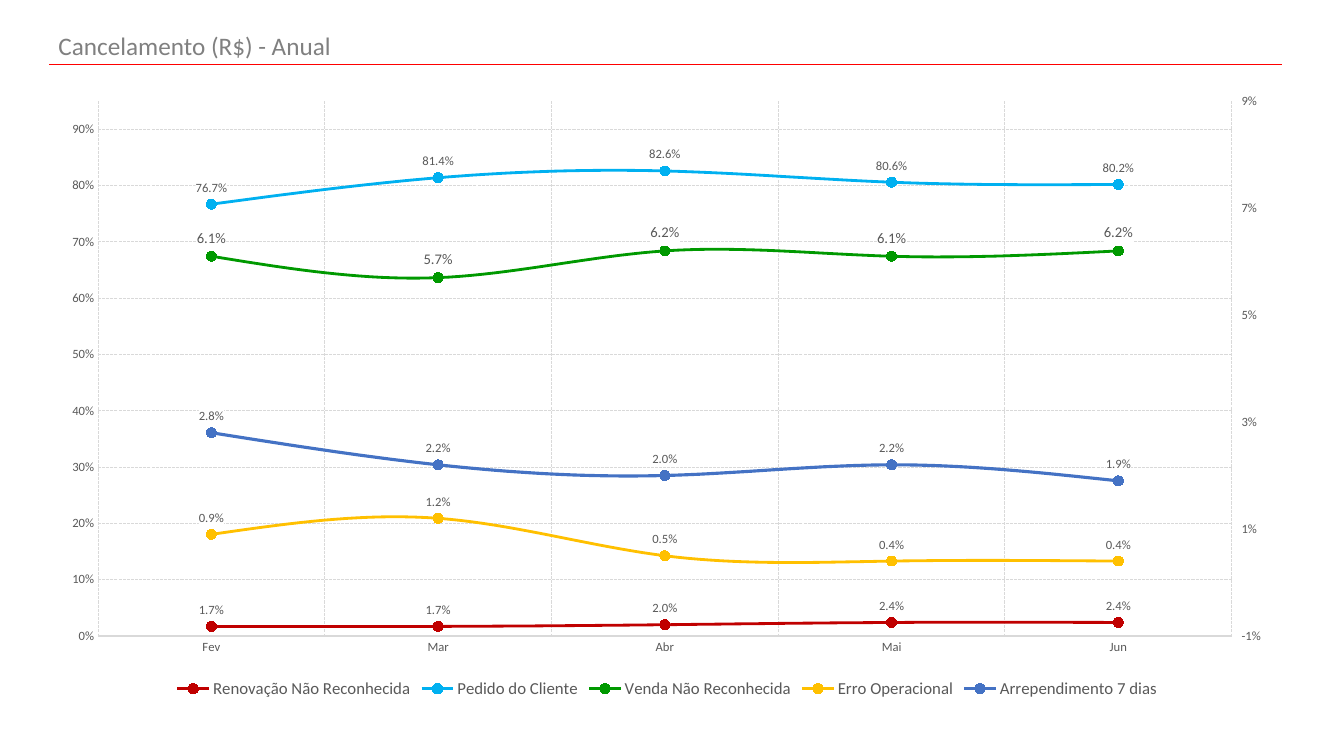
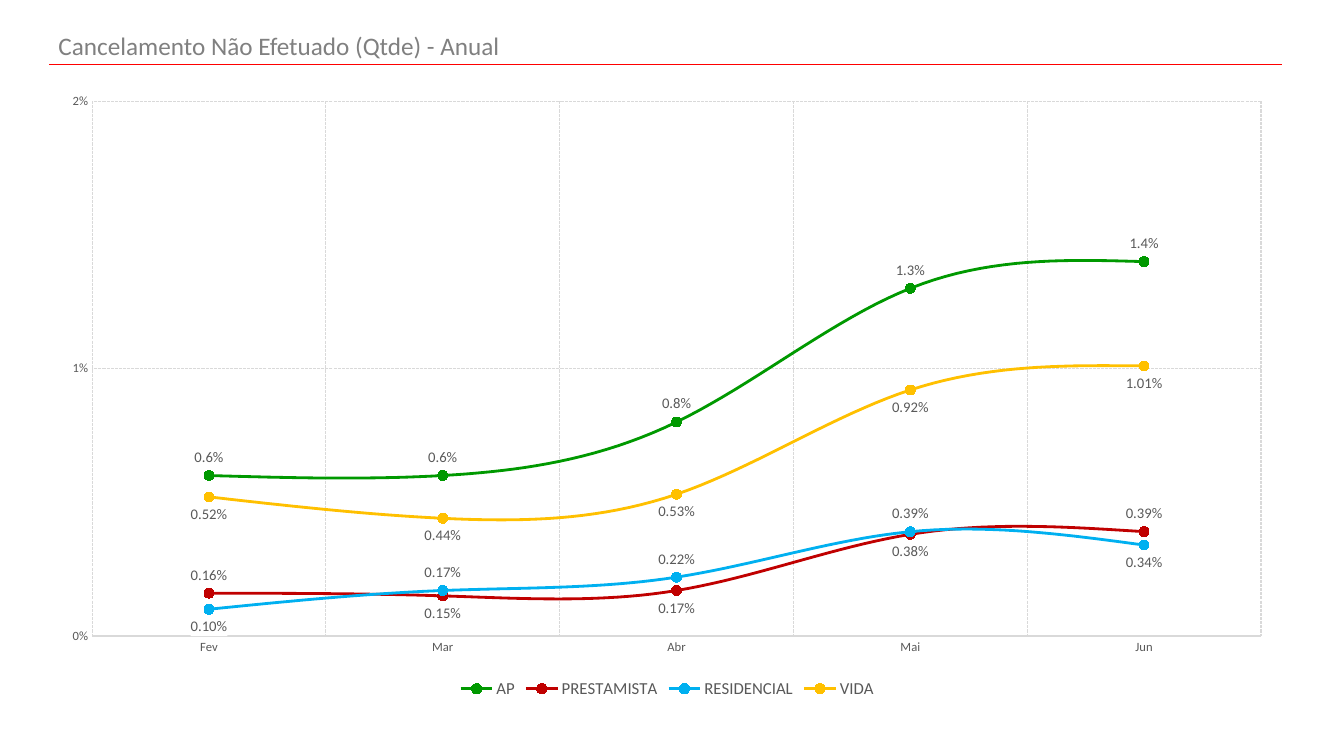
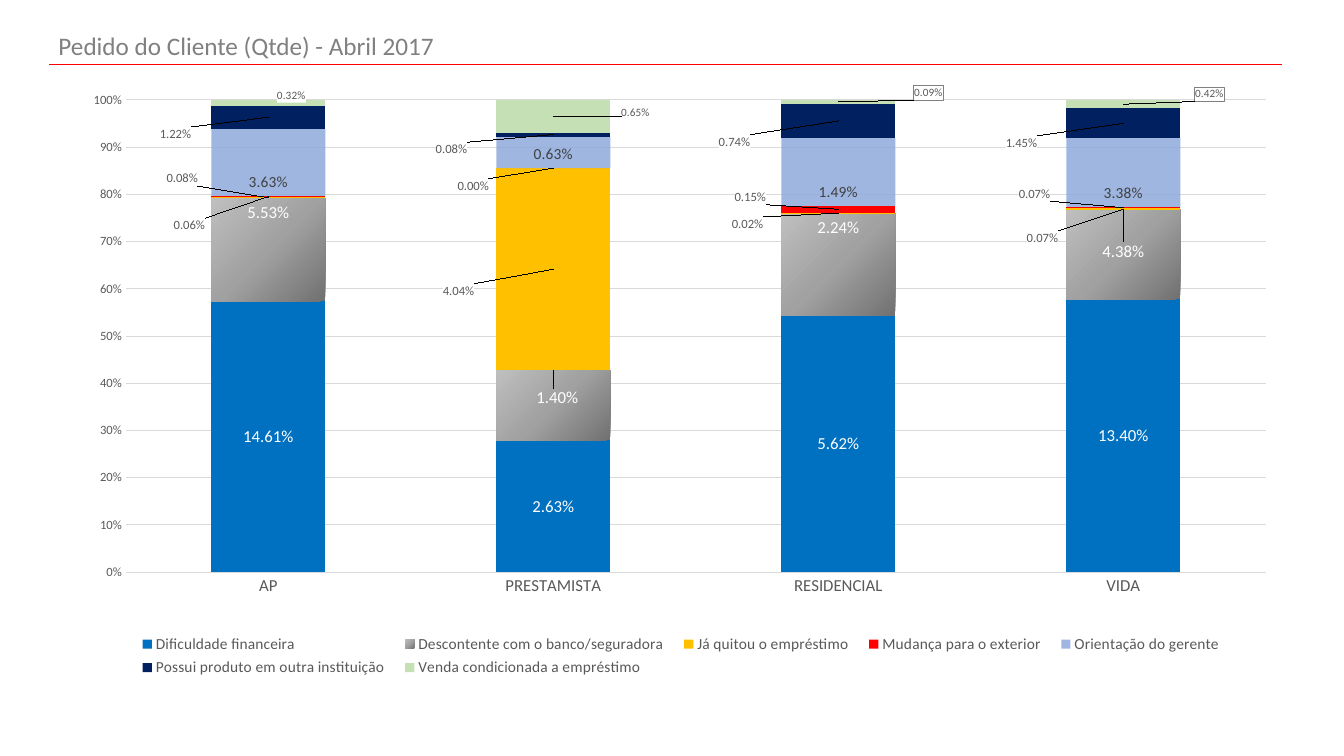
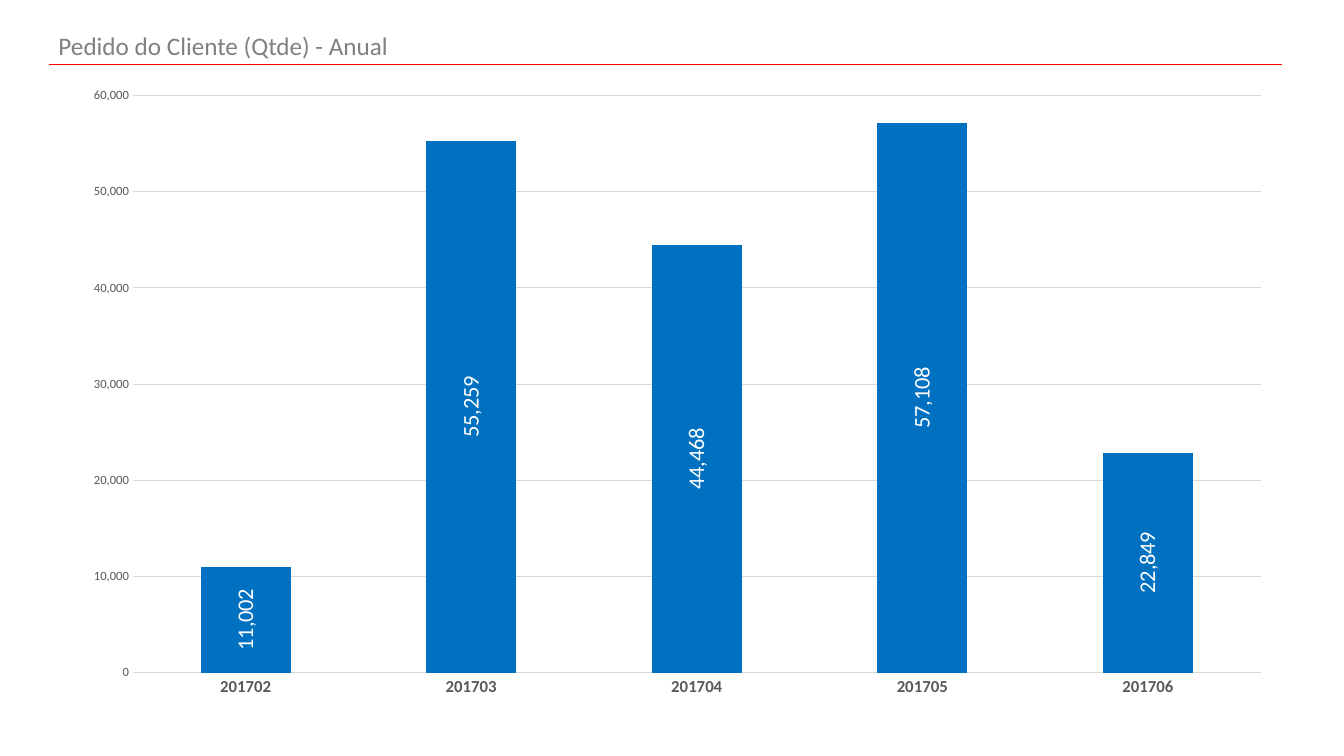
from copy import deepcopy

from pptx import Presentation
from pptx.chart.axis import CategoryAxis, ValueAxis
from pptx.chart.data import CategoryChartData
from pptx.dml.color import RGBColor
from pptx.enum.chart import XL_CHART_TYPE as Kind
from pptx.enum.chart import XL_LABEL_POSITION as Pos
from pptx.enum.chart import XL_LEGEND_POSITION, XL_MARKER_STYLE, XL_TICK_MARK
from pptx.enum.dml import MSO_LINE
from pptx.enum.shapes import MSO_CONNECTOR
from pptx.enum.text import MSO_ANCHOR, MSO_AUTO_SIZE, PP_ALIGN
from pptx.oxml import parse_xml
from pptx.oxml.ns import nsdecls, qn
from pptx.util import Cm, Pt

FACE = "Calibri"
WHITE, GRAY, TEXT, GRID, RULE = "FFFFFF", "808080", "595959", "D9D9D9", "FF0000"
RED, SKY, GREEN, GOLD, BLUE = "C00000", "00B0F0", "009900", "FFC000", "0070C0"
HEAD = (1.22, 0.64, 31.19, 1.02)
WIDE = (1.22, 2.06, 31.19, 15.65)
MONTHS = ["Fev", "Mar", "Abr", "Mai", "Jun"]
TYPES = ["AP", "PRESTAMISTA", "RESIDENCIAL", "VIDA"]
P1, P2 = "0.0%", "0.00%"

VALUE = [
    ("Renovação Não Reconhecida", [0.017, 0.017, 0.02, 0.024, 0.024], RED, P1, 9, Pos.ABOVE, 2),
    ("Pedido do Cliente", [0.767, 0.814, 0.826, 0.806, 0.802], SKY, P1, 9, Pos.ABOVE, 2),
    ("Venda Não Reconhecida", [0.061, 0.057, 0.062, 0.061, 0.062], GREEN, P1, 10.5, Pos.ABOVE, 2),
    ("Erro Operacional", [0.009, 0.012, 0.005, 0.004, 0.004], GOLD, P1, 9, Pos.ABOVE, 2),
    ("Arrependimento 7 dias", [0.028, 0.022, 0.02, 0.022, 0.019], "4472C4", P1, 9, Pos.ABOVE, 2.25),
]
COUNT = [
    ("AP", [0.006, 0.006, 0.008, 0.013, 0.014], GREEN, P1, 10.5, Pos.ABOVE, 2),
    ("PRESTAMISTA", [0.0016, 0.0015, 0.0017, 0.0038, 0.0039], RED, P2, 10.5, Pos.BELOW, 2),
    ("RESIDENCIAL", [0.001, 0.0017, 0.0022, 0.0039, 0.0034], SKY, P2, 10.5, Pos.ABOVE, 2),
    ("VIDA", [0.0052, 0.0044, 0.0053, 0.0092, 0.0101], GOLD, P2, 10.5, Pos.BELOW, 2),
]
CAUSE = [
    ("Dificuldade financeira", [0.1461, 0.0263, 0.0562, 0.134], BLUE, P2, 12, WHITE, Pos.CENTER, {}),
    ("Descontente com o banco/seguradora", [0.0553, 0.014, 0.0224, 0.0438], "A1A1A1", P2, 12, WHITE,
     Pos.INSIDE_END, {1: (0.1, 0.35), 3: (0, 0.71)}),
    ("Já quitou o empréstimo", [0.0008, 0.0404, 0.0002, 0.0007], GOLD, P2, 9, TEXT, Pos.CENTER,
     {0: (-2.17, -0.48), 1: (-2.39, 0.55), 2: (-2.29, 0.28), 3: (-2.04, 0.73)}),
    ("Mudança para o exterior", [0.0006, 0, 0.0015, 0.0007], RULE, P2, 9, TEXT, Pos.CENTER,
     {0: (-1.99, 0.73), 1: (-2.02, 0.45), 2: (-2.22, -0.3), 3: (-2.24, -0.35)}),
    ("Orientação do gerente", [0.0363, 0.0063, 0.0149, 0.0338], "8FAADC", P2, 11, "404040",
     Pos.INSIDE_BASE, {}),
    ("Possui produto em outra instituição", [0.0122, 0.0008, 0.0074, 0.0145], "002060", P2, 9, TEXT,
     Pos.CENTER, {0: (-2.34, 0.43), 1: (-2.57, 0.38), 2: (-2.62, 0.53), 3: (-2.57, 0.5)}),
    ("Venda condicionada a empréstimo", [0.0032, 0.0065, 0.0009, 0.0042], "C5E0B4", P2, 8, TEXT,
     Pos.CENTER, {0: (0.58, -0.18), 1: (2.07, -0.08), 2: (2.27, -0.23), 3: (2.17, -0.25)}),
]
ORDERS = [("Series 1", [11002, 55259, 44468, 57108, 22849], BLUE, "#,##0", 16, WHITE, Pos.CENTER, {})]


def color(code):
    """Turn a hex string into a colour."""
    return RGBColor.from_string(code)


def style(font, size, code, bold=False):
    """Set face, size, colour and weight of a font."""
    font.name, font.size, font.bold = FACE, Pt(size), bold
    font.color.rgb = color(code)


def stroke(line, code, width=0.75, dash=None):
    """Set colour, width and dash of a line."""
    line.color.rgb = color(code)
    line.width = Pt(width)
    if dash:
        line.dash_style = dash


def head(slide, words):
    """Place and format the slide title."""
    title = slide.shapes.title
    title.left, title.top, title.width, title.height = map(Cm, HEAD)
    frame = title.text_frame
    frame.text = words
    frame.auto_size = MSO_AUTO_SIZE.NONE
    frame.vertical_anchor = MSO_ANCHOR.MIDDLE
    para = frame.paragraphs[0]
    para.alignment = PP_ALIGN.LEFT
    style(para.font, 18, GRAY)


def rule(slide, layout):
    """Draw the red rule and hand it to the layout."""
    line = slide.shapes.add_connector(MSO_CONNECTOR.STRAIGHT, Cm(1.24), Cm(1.63), Cm(32.31), Cm(1.63))
    stroke(line.line, RULE, 0.5)
    node = line.element
    node.spPr.append(parse_xml(f"<a:effectLst {nsdecls('a')}/>"))
    node.nvCxnSpPr.cNvPr.set("id", "20")
    layout.shapes.element.append(node)


def place(box, part, edge=True, inner=False):
    """Build a manual layout for a part given in Cm within its box."""
    sizes = zip("xywh", part, (box[2], box[3]) * 2)
    tags = '<c:layoutTarget val="inner"/>' if inner else ""
    if edge:
        tags += '<c:xMode val="edge"/><c:yMode val="edge"/>'
    tags += "".join(f'<c:{key} val="{size / full:.4f}"/>' for key, size, full in sizes)
    return parse_xml(f"<c:layout {nsdecls('c')}><c:manualLayout>{tags}</c:manualLayout></c:layout>")


def plate(ser, edged=()):
    """Give the labels of a series a white ground, some with an edge."""
    for text in list(ser.iter(qn("c:txPr"))):
        spot = text.getparent().find(qn("c:idx"))
        line = f'<a:ln w="6350"><a:solidFill><a:srgbClr val="{GRAY}"/></a:solidFill></a:ln>'
        if spot is None or int(spot.get("val")) not in edged:
            line = "<a:ln><a:noFill/></a:ln>"
        text.addprevious(parse_xml(
            f"<c:spPr {nsdecls('c', 'a')}><a:solidFill><a:srgbClr val=\"{WHITE}\"/></a:solidFill>{line}</c:spPr>"))


def label(series, form, size, code, pos):
    """Show the values of a series."""
    labels = series.data_labels
    labels.show_value = True
    labels.number_format, labels.number_format_is_linked = form, False
    labels.position = pos
    style(labels.font, size, code)


def graph(slide, kind, box, plot, cats, rows):
    """Add a chart with its base font and plot area."""
    data = CategoryChartData()
    data.categories = cats
    for name, vals, _, form, *_ in rows:
        data.add_series(name, vals, form)
    chart = slide.shapes.add_chart(kind, *map(Cm, box), data).chart
    chart.has_title = False
    chart.has_legend = False
    style(chart.font, 10, "000000")
    chart.plots[0].vary_by_categories = False
    area = chart.element.find(".//" + qn("c:plotArea"))
    for old in area.findall(qn("c:layout")):
        area.remove(old)
    area.insert(0, place(box, plot, inner=True))
    return chart


def axes(chart, form, top, step, size=9, bold=False, dash=None):
    """Format both axes and their grid."""
    cat, val = chart.category_axis, chart.value_axis
    for axis in (cat, val):
        axis.major_tick_mark = axis.minor_tick_mark = XL_TICK_MARK.NONE
    style(cat.tick_labels.font, size, TEXT, bold)
    style(val.tick_labels.font, 9, TEXT)
    stroke(cat.format.line, GRID)
    val.format.line.fill.background()
    val.minimum_scale, val.maximum_scale, val.major_unit = 0, top, step
    val.tick_labels.number_format, val.tick_labels.number_format_is_linked = form, False
    val.has_major_gridlines = True
    cat.has_major_gridlines = bool(dash)
    for axis in (cat, val) if dash else (val,):
        stroke(axis.major_gridlines.format.line, GRID, 0.75, dash)


def legend(chart, size):
    """Put the legend below the plot."""
    chart.has_legend = True
    chart.legend.position = XL_LEGEND_POSITION.BOTTOM
    chart.legend.include_in_layout = False
    style(chart.legend.font, size, TEXT)


def curves(slide, box, plot, rows, top, step, flips=None):
    """Draw a chart of smooth lines with labelled points."""
    chart = graph(slide, Kind.LINE_MARKERS, box, plot, MONTHS, rows)
    axes(chart, "0%", top, step, dash=MSO_LINE.SQUARE_DOT)
    legend(chart, 12)
    nodes = list(chart.element.iter(qn("c:ser")))
    for series, node, row in zip(chart.plots[0].series, nodes, rows):
        name, _, code, form, size, pos, width = row
        series.smooth = True
        stroke(series.format.line, code, width)
        mark = series.marker
        mark.style, mark.size = XL_MARKER_STYLE.CIRCLE, 7
        mark.format.fill.solid()
        mark.format.fill.fore_color.rgb = color(code)
        stroke(mark.format.line, code)
        label(series, form, size, TEXT, pos)
        if flips and name in flips:
            for spot in (0, 4):
                tag = series.points[spot].data_label
                style(tag.font, size, TEXT)
                tag.position = flips[name]
        plate(node)
    return chart


def second(chart, first):
    """Move the series from the given one on to a right axis."""
    left = chart.element.find(".//" + qn("c:lineChart"))
    cat, val = (chart.element.find(".//" + qn(tag)) for tag in ("c:catAx", "c:valAx"))
    right, base, side = map(deepcopy, (left, cat, val))
    ids = {axis.find(qn("c:axId")).get("val"): new for axis, new in ((cat, "51"), (val, "52"))}
    for part in (right, base, side):
        for node in part.iter(qn("c:axId"), qn("c:crossAx")):
            node.set("val", ids[node.get("val")])
    for node in left.findall(qn("c:ser"))[first:]:
        left.remove(node)
    for node in right.findall(qn("c:ser"))[:first]:
        right.remove(node)
    left.addnext(right)
    val.addnext(side)
    side.addnext(base)
    hidden, axis = CategoryAxis(base), ValueAxis(side)
    hidden.visible = hidden.has_major_gridlines = False
    axis.has_major_gridlines = False
    axis.minimum_scale, axis.maximum_scale, axis.major_unit = -0.01, 0.09, 0.02
    axis.major_tick_mark = XL_TICK_MARK.OUTSIDE
    side.find(qn("c:axPos")).set("val", "r")
    side.find(qn("c:crosses")).set("val", "max")


def bars(slide, kind, box, plot, cats, rows, overlap):
    """Draw a column chart with labels, some of them shifted."""
    chart = graph(slide, kind, box, plot, cats, rows)
    chart.plots[0].gap_width, chart.plots[0].overlap = 150, overlap
    nodes = list(chart.element.iter(qn("c:ser")))
    for series, node, row in zip(chart.plots[0].series, nodes, rows):
        _, _, code, form, size, ink, pos, shifts = row
        series.invert_if_negative = False
        series.format.fill.solid()
        series.format.fill.fore_color.rgb = color(code)
        label(series, form, size, ink, pos)
        for spot, shift in shifts.items():
            tag = series.points[spot].data_label
            style(tag.font, size, ink)
            tag.position = pos
        for tag in node.iter(qn("c:dLbl")):
            spot = tag.find(qn("c:idx"))
            spot.addnext(place(box, shifts[int(spot.get("val"))], edge=False))
        if ink == TEXT:
            plate(node, (2, 3) if size == 8 else ())
    return chart, nodes


def blend(series, node):
    """Fill a series with the gray gradient."""
    fill = series.format.fill
    fill.gradient()
    fill.gradient_angle = 135
    stops = node.find(".//" + qn("a:gsLst"))
    stops.insert(1, deepcopy(stops[0]))
    shades = ((0, "717171"), (0.5, "A1A1A1"), (1, "BFBFBF"))
    for stop, (spot, code) in zip(fill.gradient_stops, shades):
        stop.position = spot
        stop.color.rgb = color(code)


def causes(slide):
    """Draw the stacked chart of reasons by product."""
    box = (2.01, 2.13, 30.4, 15.47)
    plot = (1.16, 0.39, 28.73, 11.9)
    chart, nodes = bars(slide, Kind.COLUMN_STACKED_100, box, plot, TYPES, CAUSE, 100)
    axes(chart, "0%", 1, 0.1, 12)
    legend(chart, 11)
    chart.element.find(".//" + qn("c:legendPos")).addnext(place(box, (1.2, 13.75, 27.9, 1.3)))
    blend(chart.plots[0].series[1], nodes[1])
    tint = nodes[4].find(".//" + qn("a:srgbClr"))
    tint.append(parse_xml(f'<a:alpha {nsdecls("a")} val="86000"/>'))


def orders(slide):
    """Draw the monthly columns with upright labels."""
    cats = [f"2017{month:02}" for month in range(2, 7)]
    chart, nodes = bars(slide, Kind.COLUMN_CLUSTERED, (1.78, 1.9, 30.63, 15.98),
                        (1.57, 0.51, 28.42, 14.54), cats, ORDERS, -27)
    axes(chart, "#,##0", 60000, 10000, 12, True)
    body = nodes[0].find(".//" + qn("a:bodyPr"))
    body.set("rot", "-5400000")
    body.set("vert", "horz")


def value(slide):
    """Draw the yearly cancellations by value."""
    second(curves(slide, WIDE, (1.25, 0.49, 28.57, 13.48), VALUE, 0.95, 0.1), 2)


def count(slide):
    """Draw the yearly open cancellations by count."""
    flips = {"PRESTAMISTA": Pos.ABOVE, "RESIDENCIAL": Pos.BELOW}
    curves(slide, WIDE, (1.1, 0.49, 29.46, 13.48), COUNT, 0.02, 0.01, flips)


def main():
    """Build and save the slides."""
    deck = Presentation()
    deck.slide_width, deck.slide_height = Cm(33.87), Cm(19.05)
    layout = deck.slide_layouts[5]
    pages = (
        ("Cancelamento (R$) - Anual", value),
        ("Cancelamento Não Efetuado (Qtde) - Anual", count),
        ("Pedido do Cliente (Qtde) - Abril 2017", causes),
        ("Pedido do Cliente (Qtde) - Anual", orders),
    )
    for words, draw in pages:
        slide = deck.slides.add_slide(layout)
        head(slide, words)
        draw(slide)
    rule(deck.slides[0], layout)
    deck.save("out.pptx")


if __name__ == "__main__":
    main()
